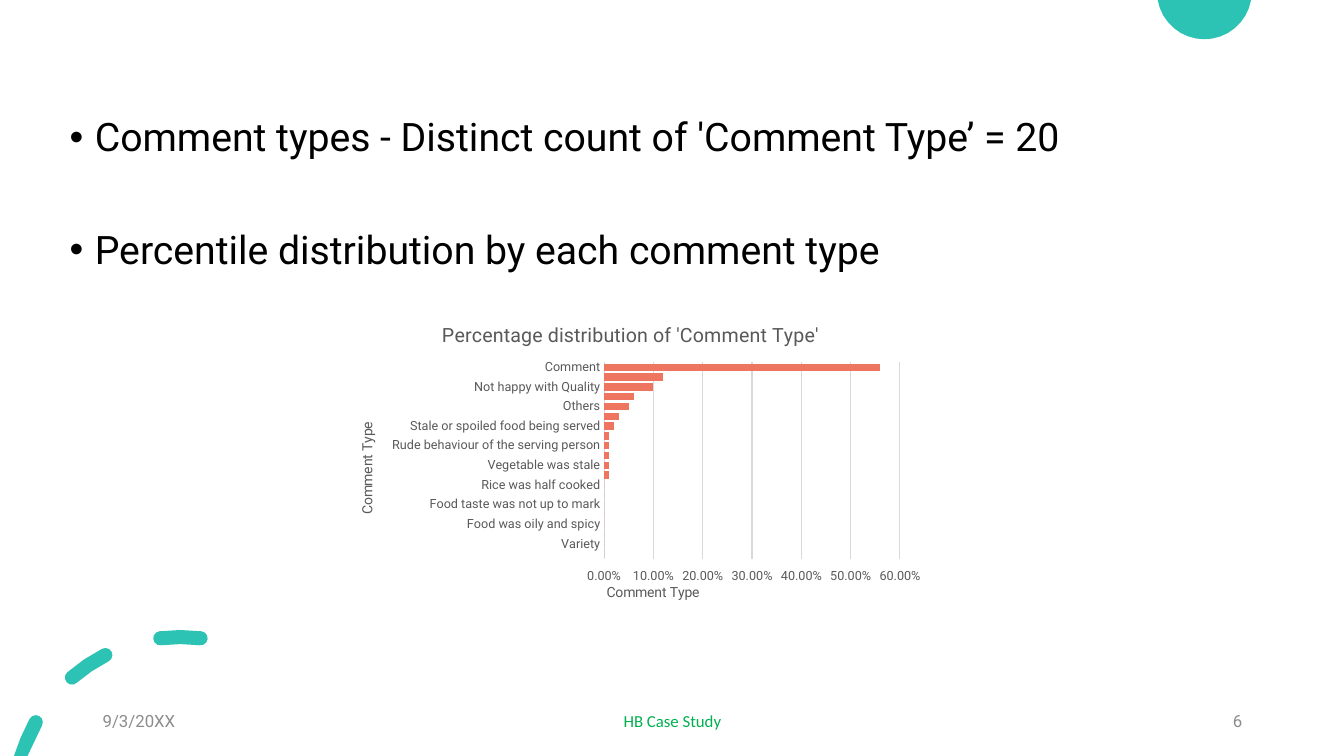
"""Build the slide on the percentage distribution of comment types."""
from math import cos, radians, sin

from lxml.etree import SubElement
from pptx import Presentation
from pptx.chart.data import CategoryChartData
from pptx.dml.color import RGBColor
from pptx.enum.chart import XL_CHART_TYPE, XL_TICK_LABEL_POSITION, XL_TICK_MARK
from pptx.enum.text import MSO_ANCHOR, MSO_AUTO_SIZE, PP_ALIGN
from pptx.oxml.ns import qn
from pptx.util import Inches, Pt

TEAL = RGBColor(0x2C, 0xC3, 0xB4)
CORAL = RGBColor(0xEE, 0x76, 0x61)
GREEN = RGBColor(0x00, 0xB0, 0x50)
BLACK = RGBColor(0x00, 0x00, 0x00)
DARK_GRAY = RGBColor(0x59, 0x59, 0x59)
GRAY = RGBColor(0x8C, 0x8C, 0x8C)
LIGHT_GRAY = RGBColor(0xD9, 0xD9, 0xD9)

SLIDE_HEIGHT = 7.5
ARC_CENTER = (1.79, 7.96)
ARC_RADIUS = 1.64
DASH_HALF = 0.07
DASHES = [(61, 75), (27, 41), (-7, 7)]
COMMENT_SHARES = {
    "Comment": 0.56,
    "Food taste was not upto mark": 0.12,
    "Not happy with Quality": 0.1,
    "Same vegetables used often": 0.06,
    "Others": 0.05,
    "Wait time of more than 10 mins": 0.03,
    "Stale or spoiled food being served": 0.02,
    "Rude behavior of the serving person": 0.01,
    "Rude behaviour of the serving person": 0.01,
    "Proper Hygiene was not maintained by vendor": 0.01,
    "Vegetable was stale": 0.01,
    "Food taste was average": 0.01,
    "Rice was half cooked": 0,
    "I was served a wrong dish": 0,
    "Food taste was not up to mark": 0,
    "Food served was cold": 0,
    "Food was oily and spicy": 0,
    "Same vegetable used often": 0,
    "Variety": 0,
    "Service Speed": 0,
}


def arc_points(center, radius, start, end, step):
    """Return points on an arc, in degrees counterclockwise from the top."""
    return [(center[0] - radius * sin(radians(angle)), center[1] - radius * cos(radians(angle)))
            for angle in range(start, end + step, step)]


def set_layout(element, index, **fractions):
    """Give a chart part a manual layout in fractions of the chart."""
    for old_layout in element.findall(qn("c:layout")):
        element.remove(old_layout)
    layout = SubElement(element, qn("c:layout"))
    element.insert(index, layout)
    manual = SubElement(layout, qn("c:manualLayout"))
    if "w" in fractions:
        SubElement(manual, qn("c:layoutTarget")).set("val", "inner")
    for mode in ("xMode", "yMode"):
        SubElement(manual, qn(f"c:{mode}")).set("val", "edge")
    for name, value in fractions.items():
        SubElement(manual, qn(f"c:{name}")).set("val", str(value))


presentation = Presentation()
presentation.slide_width = Inches(13.33)
presentation.slide_height = Inches(SLIDE_HEIGHT)
slide = presentation.slides.add_slide(presentation.slide_layouts[1])
title_element = slide.shapes.title._element
title_element.getparent().remove(title_element)

outlines = [[arc_points((11.945, -0.08), 0.47, 100, 260, 10)], []]
for start, end in DASHES:
    start_cap, end_cap = arc_points(ARC_CENTER, ARC_RADIUS, start, end, end - start)
    outlines[1].append(
        arc_points(ARC_CENTER, ARC_RADIUS + DASH_HALF, start, end, 7)
        + arc_points(end_cap, DASH_HALF, end + 30, end + 150, 30)
        + arc_points(ARC_CENTER, ARC_RADIUS - DASH_HALF, start, end, 7)[::-1]
        + arc_points(start_cap, DASH_HALF, start + 210, start + 330, 30))
for contours in outlines:
    builder = None
    for contour in contours:
        points = [(Inches(x), Inches(min(y, SLIDE_HEIGHT))) for x, y in contour]
        if builder is None:
            builder = slide.shapes.build_freeform(*points[0])
        else:
            builder.move_to(*points[0])
        builder.add_line_segments(points[1:], close=True)
    shape = builder.convert_to_shape()
    shape.shadow.inherit = False
    shape.fill.solid()
    shape.fill.fore_color.rgb = TEAL
    shape.line.fill.background()

body = slide.placeholders[1]
body.left, body.top, body.width, body.height = map(Inches, (0.59, 1.12, 11.5, 5.28))
body_frame = body.text_frame
body_frame.auto_size = MSO_AUTO_SIZE.NONE
body_frame.vertical_anchor = MSO_ANCHOR.TOP
body_frame.text = ("Comment types - Distinct count of 'Comment Type’ = 20\n"
                   "Percentile distribution by each comment type")
for paragraph, space_before in zip(body_frame.paragraphs, (10, 50)):
    paragraph.line_spacing = 0.9
    paragraph.space_before = Pt(space_before)
    properties = paragraph._p.get_or_add_pPr()
    properties.set("marL", str(Inches(0.25)))
    properties.set("indent", str(Inches(-0.25)))
    SubElement(properties, qn("a:buFont")).set("typeface", "Arial")
    SubElement(properties, qn("a:buChar")).set("char", "•")
    font = paragraph.runs[0].font
    font.name, font.size, font.color.rgb = "Roboto", Pt(28), BLACK

for text, left, width, alignment, font_name, color in [
    ("9/3/20XX", 0.92, 3, PP_ALIGN.LEFT, "Roboto", GRAY),
    ("HB Case Study", 4.42, 4.5, PP_ALIGN.CENTER, "Calibri", GREEN),
    ("6", 9.42, 3, PP_ALIGN.RIGHT, "Roboto", GRAY),
]:
    footer = slide.shapes.add_textbox(Inches(left), Inches(6.95), Inches(width), Inches(0.4))
    footer.text_frame.word_wrap = True
    footer.text_frame.vertical_anchor = MSO_ANCHOR.MIDDLE
    paragraph = footer.text_frame.paragraphs[0]
    paragraph.text = text
    paragraph.alignment = alignment
    font = paragraph.runs[0].font
    font.name, font.size, font.color.rgb = font_name, Pt(12), color

chart_data = CategoryChartData(number_format="0.00%")
chart_data.categories = list(COMMENT_SHARES)
chart_data.add_series("Series 1", list(COMMENT_SHARES.values()))
chart = slide.shapes.add_chart(XL_CHART_TYPE.BAR_CLUSTERED, Inches(3.35), Inches(3.03),
                               Inches(5.87), Inches(3.14), chart_data).chart
chart.has_legend = False
chart.font.name, chart.font.size, chart.font.color.rgb = "Roboto", Pt(10), BLACK
set_layout(chart._chartSpace.chart.plotArea, 0, x=0.45, y=0.18, w=0.5, h=0.62)

plot = chart.plots[0]
for name, value in {"gap_width": 33, "overlap": -30, "vary_by_categories": False}.items():
    setattr(plot, name, value)
bar_fill = plot.series[0].format.fill
bar_fill.solid()
bar_fill.fore_color.rgb = CORAL

category_axis, value_axis = chart.category_axis, chart.value_axis
for axis in (category_axis, value_axis):
    axis.major_tick_mark = axis.minor_tick_mark = XL_TICK_MARK.NONE
    font = axis.tick_labels.font
    font.name, font.size, font.color.rgb = "Roboto", Pt(9), DARK_GRAY
category_axis.reverse_order = True
value_axis.tick_label_position = XL_TICK_LABEL_POSITION.HIGH
value_axis.format.line.fill.background()
for name, value in {"minimum_scale": 0, "maximum_scale": 0.6, "major_unit": 0.1}.items():
    setattr(value_axis, name, value)
value_axis.tick_labels.number_format = "0.00%"
value_axis.tick_labels.number_format_is_linked = False
for line in (category_axis.format.line, value_axis.major_gridlines.format.line):
    line.color.rgb, line.width = LIGHT_GRAY, Pt(0.75)

for chart_title, text, size, left, top in [
    (chart.chart_title, "Percentage distribution of 'Comment Type'", 14, 0.17, 0.04),
    (category_axis.axis_title, "Comment Type", 10, 0.03, 0.36),
    (value_axis.axis_title, "Comment Type", 10, 0.45, 0.87),
]:
    paragraph = chart_title.text_frame.paragraphs[0]
    paragraph.text = text
    font = paragraph.runs[0].font
    font.name, font.size, font.bold, font.color.rgb = "Roboto", Pt(size), False, DARK_GRAY
    set_layout(chart_title._element, 1, x=left, y=top)
category_axis.axis_title.text_frame._txBody.bodyPr.set("rot", "-5400000")

presentation.save("out.pptx")
